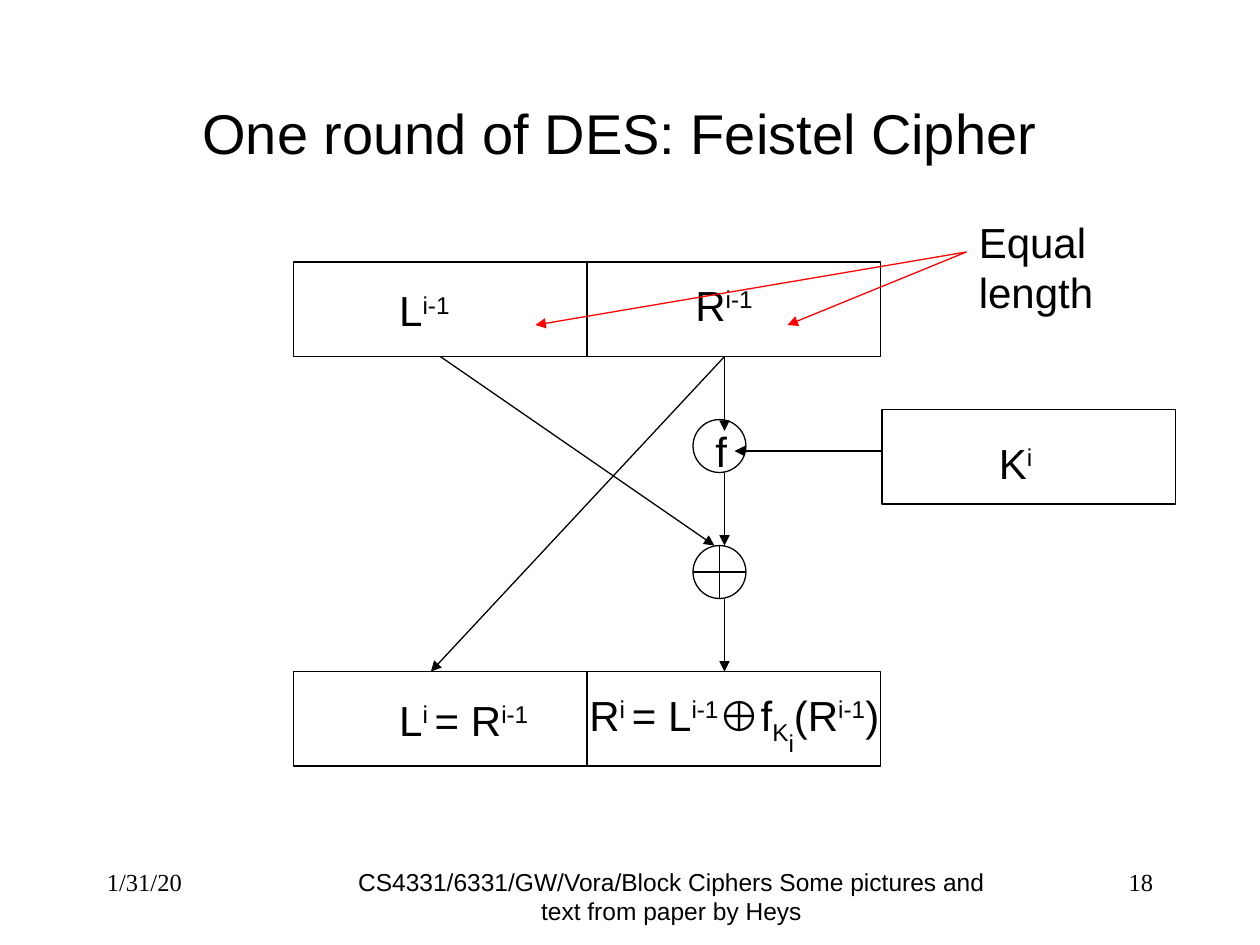
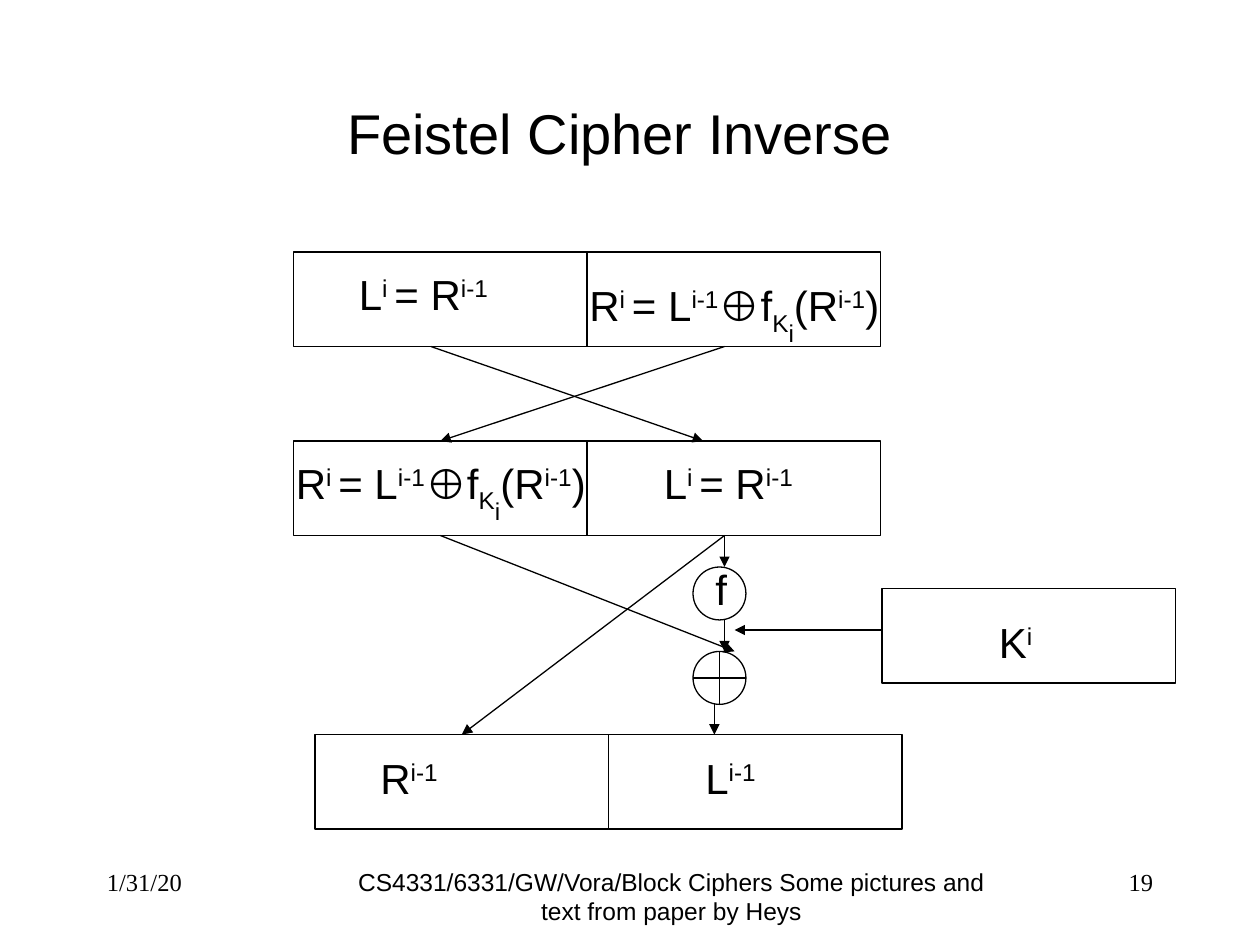
from lxml import etree
from pptx import Presentation
from pptx.dml.color import RGBColor
from pptx.enum.shapes import MSO_CONNECTOR, MSO_SHAPE
from pptx.enum.text import MSO_ANCHOR, PP_ALIGN
from pptx.oxml.ns import qn
from pptx.util import Inches, Pt

BLACK = RGBColor(0x00, 0x00, 0x00)
RED = RGBColor(0xFF, 0x00, 0x00)
SANS = "Arial"
SERIF = "Times New Roman"
DATE = "1/31/20"
FOOTER = "CS4331/6331/GW/Vora/Block Ciphers Some pictures and text from paper by Heys"

BOX_WIDTH, BOX_HEIGHT = 2.33, 0.75
CIRCLE_SIZE = 0.42
CIRCLE_LEFT = 5.5
LEFT_BOX = 2.33
KEY_LEFT = 7
BOTTOM, TOP = 2, 0
SUPER, SUB, SUB_SUB = 30, -25, -50

# Formulas are runs of (text, baseline shift in percent).
OLD_LEFT = [("L", 0), ("i-1", SUPER)]
OLD_RIGHT = [("R", 0), ("i-1", SUPER)]
NEW_LEFT = [("L", 0), ("i ", SUPER), ("= R", 0), ("i-1", SUPER)]
NEW_RIGHT = [("R", 0), ("i ", SUPER), ("= L", 0), ("i-1", SUPER), ("⊕f", 0),
             ("K", SUB), ("i", SUB_SUB), ("(R", 0), ("i-1", SUPER), (")", 0)]
KEY = [("K", 0), ("i", SUPER)]
FUNCTION = [("f", 0)]


def add_text(slide, runs, left, top, width, height, size=24, font=SANS,
             align=PP_ALIGN.LEFT, anchor=MSO_ANCHOR.TOP, wrap=True):
    box = slide.shapes.add_textbox(Inches(left), Inches(top), Inches(width), Inches(height))
    frame = box.text_frame
    frame.word_wrap = wrap
    frame.vertical_anchor = anchor
    paragraph = frame.paragraphs[0]
    paragraph.alignment = align
    paragraph.font.size = Pt(size)
    paragraph.font.name = font
    paragraph.font.color.rgb = BLACK
    for text, baseline in runs:
        run = paragraph.add_run()
        run.text = text
        if baseline:
            run._r.get_or_add_rPr().set("baseline", str(baseline * 1000))


def add_formula(slide, runs, left, top, width):
    add_text(slide, runs, left, top, width, 0.5, wrap=False)


def add_outline(slide, kind, left, top, width, height):
    shape = slide.shapes.add_shape(kind, Inches(left), Inches(top), Inches(width), Inches(height))
    shape.shadow.inherit = False
    shape.fill.background()
    shape.line.color.rgb = BLACK
    shape.line.width = Pt(0.75)
    return shape


def add_box(slide, left, top):
    return add_outline(slide, MSO_SHAPE.RECTANGLE, left, top, BOX_WIDTH, BOX_HEIGHT)


def add_halves(slide, left, top):
    """Draw two adjoining boxes and return the left one."""
    add_box(slide, round(left + BOX_WIDTH, 2), top)
    return add_box(slide, left, top)


def add_circle(slide, kind, top):
    add_outline(slide, kind, CIRCLE_LEFT, top, CIRCLE_SIZE, CIRCLE_SIZE)


def add_arrow(slide, start, end, color=BLACK, start_box=None, end_box=None):
    """Draw an arrow, joined to the bottom of start_box and the top of end_box if given."""
    arrow = slide.shapes.add_connector(
        MSO_CONNECTOR.STRAIGHT, *(Inches(value) for value in (*start, *end)))
    if start_box is not None:
        arrow.begin_connect(start_box, BOTTOM)
    if end_box is not None:
        arrow.end_connect(end_box, TOP)
    arrow.line.color.rgb = color
    arrow.line.width = Pt(0.75)
    etree.SubElement(arrow.line._get_or_add_ln(), qn("a:tailEnd"), type="triangle")
    etree.SubElement(arrow._element.spPr, qn("a:effectLst"))


def add_key(slide, top):
    """Draw the round key box with its arrow towards the round function."""
    add_box(slide, KEY_LEFT, top)
    add_text(slide, KEY, 7.83, top + 0.17, 0.58, 0.5)
    add_arrow(slide, (KEY_LEFT, top + 0.33), (5.83, top + 0.33))


def add_round_function(slide, function_top, xor_top):
    add_circle(slide, MSO_SHAPE.OVAL, function_top)
    add_circle(slide, MSO_SHAPE.FLOWCHART_OR, xor_top)
    add_arrow(slide, (5.75, function_top + CIRCLE_SIZE), (5.75, xor_top))


def add_slide(presentation, title, number):
    slide = presentation.slides.add_slide(presentation.slide_layouts[6])
    add_text(slide, [(FOOTER, 0)], 2.58, 6.83, 5.5, 0.52, 14, align=PP_ALIGN.CENTER)
    add_text(slide, [(DATE, 0)], 0.75, 6.83, 1.67, 0.5, 14, SERIF)
    add_text(slide, [(str(number), 0)], 8.25, 6.83, 1, 0.5, 14, SERIF, PP_ALIGN.RIGHT)
    add_text(slide, [(title, 0)], 0.67, 0.42, 8.5, 1.25, 32,
             align=PP_ALIGN.CENTER, anchor=MSO_ANCHOR.MIDDLE)
    return slide


def build_round(presentation):
    slide = add_slide(presentation, "One round of DES: Feistel Cipher", 18)
    input_left = add_halves(slide, LEFT_BOX, 2.08)
    add_halves(slide, LEFT_BOX, 5.33)
    add_formula(slide, OLD_LEFT, 3.07, 2.21, 0.63)
    add_formula(slide, OLD_RIGHT, 5.42, 2.17, 0.69)
    add_formula(slide, NEW_LEFT, 3.07, 5.46, 1.27)
    add_formula(slide, NEW_RIGHT, 4.58, 5.42, 2.53)

    add_round_function(slide, 3.33, 4.33)
    add_formula(slide, FUNCTION, 5.58, 3.33, 0.29)
    add_arrow(slide, (5.75, 2.83), (3.42, 5.33))
    add_arrow(slide, (5.75, 2.83), (5.75, 3.42))
    add_arrow(slide, (5.75, 4.75), (5.75, 5.33))
    add_arrow(slide, (3.5, 2.83), (5.67, 4.33), start_box=input_left)
    add_key(slide, 3.25)

    for target in (4.25, 6.25):
        add_arrow(slide, (7.67, 2), (target, 2.58), RED)
    add_text(slide, [("Equal length", 0)], 7.67, 1.67, 1.5, 0.9)


def build_inverse(presentation):
    slide = add_slide(presentation, "Feistel Cipher Inverse", 19)
    add_halves(slide, LEFT_BOX, 2)
    swapped_left = add_halves(slide, LEFT_BOX, 3.5)
    output_left = add_halves(slide, 2.5, 5.83)
    add_formula(slide, NEW_LEFT, 2.75, 2.08, 1.27)
    add_formula(slide, NEW_RIGHT, 4.58, 2.17, 2.53)
    add_formula(slide, NEW_RIGHT, 2.25, 3.58, 2.53)
    add_formula(slide, NEW_LEFT, 5.17, 3.58, 1.27)
    add_formula(slide, OLD_RIGHT, 2.92, 5.92, 0.69)
    add_formula(slide, OLD_LEFT, 5.5, 5.92, 0.63)

    add_arrow(slide, (3.42, 2.75), (5.58, 3.5))
    add_arrow(slide, (5.75, 2.75), (3.5, 3.5), end_box=swapped_left)
    add_round_function(slide, 4.5, 5.17)
    add_formula(slide, FUNCTION, 5.58, 4.42, 0.29)
    add_arrow(slide, (5.75, 4.25), (3.67, 5.83), end_box=output_left)
    add_arrow(slide, (5.75, 4.25), (5.75, 4.5))
    add_arrow(slide, (5.67, 5.58), (5.67, 5.83))
    add_arrow(slide, (3.5, 4.25), (5.83, 5.17), start_box=swapped_left)
    add_key(slide, 4.67)


def main():
    presentation = Presentation()
    presentation.slide_width = Inches(10)
    presentation.slide_height = Inches(7.5)
    build_round(presentation)
    build_inverse(presentation)
    presentation.save("out.pptx")


if __name__ == "__main__":
    main()
